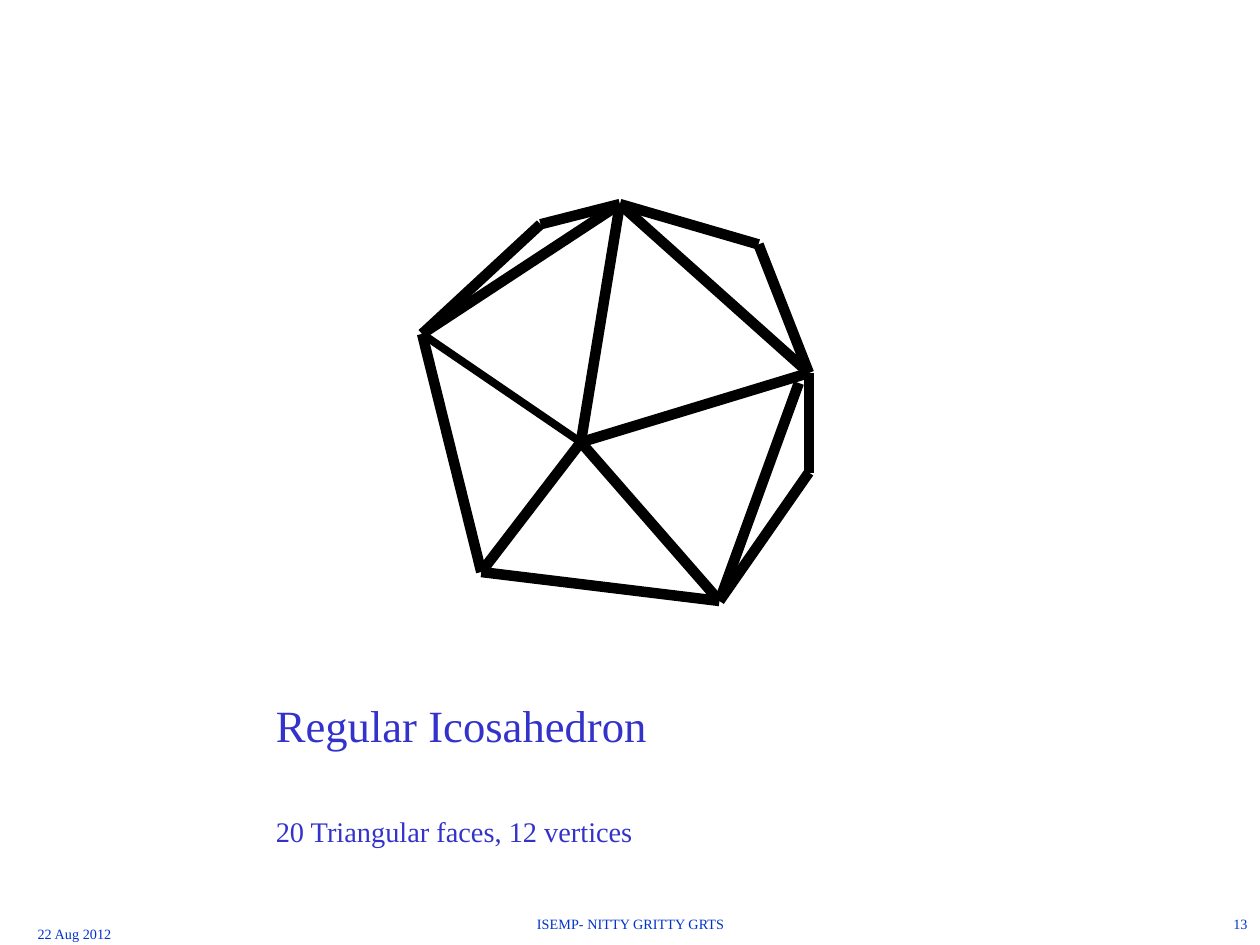
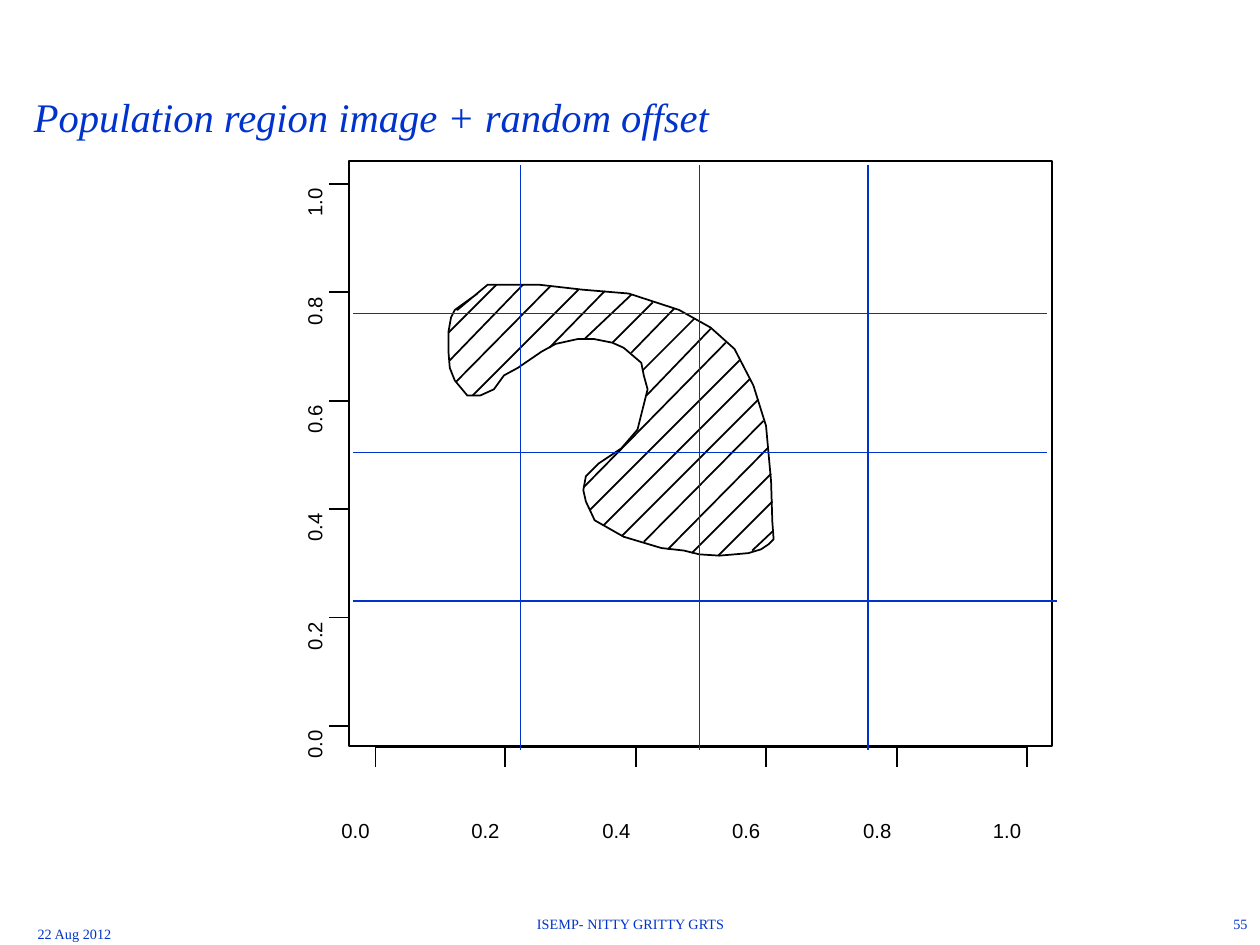
from dataclasses import dataclass

import lxml.etree
import pptx
import pptx.dml.color
import pptx.enum.shapes
import pptx.enum.text
import pptx.oxml.ns
import pptx.presentation
import pptx.shapes.base
import pptx.slide
import pptx.util

ALIGN = pptx.enum.text.PP_ALIGN
Point = tuple[int, int]

PX = 9144
BLACK = "000000"
BLUE = "0033CC"
VIOLET = "3333CC"
SERIF = "Times New Roman"
SANS = "Arial"
LOWERED = "-36000"


@dataclass(frozen=True)
class Style:
    size: int
    color: str = BLUE
    font: str = SERIF
    italic: bool = False
    align: ALIGN = ALIGN.LEFT
    space_before: int = 0


@dataclass(frozen=True)
class Box:
    left: int
    top: int
    width: int
    height: int


@dataclass(frozen=True)
class Stroke:
    color: str
    width: float


@dataclass(frozen=True)
class Edge:
    start: str
    end: str
    width: float = 6


@dataclass(frozen=True)
class Footer:
    box: Box
    align: ALIGN


INK = Stroke(BLACK, 1)
GRID = Stroke(BLUE, 0.75)
TICK_LABEL = Style(20, BLACK, SANS)

DATE_FOOTER = Footer(Box(20, 714, 208, 36), ALIGN.LEFT)
EVENT_FOOTER = Footer(Box(342, 706, 317, 28), ALIGN.CENTER)
NUMBER_FOOTER = Footer(Box(717, 706, 283, 28), ALIGN.RIGHT)

VERTICES: dict[str, Point] = {
    "center": (461, 351),
    "top": (492, 162),
    "upper left": (429, 178),
    "left": (335, 265),
    "lower left": (382, 454),
    "bottom": (571, 477),
    "lower right": (642, 375),
    "right": (642, 296),
    "inner right": (634, 304),
    "upper right": (602, 194),
}

EDGES = [
    Edge("left", "center", 4.5),
    Edge("center", "top"),
    Edge("center", "right"),
    Edge("top", "right"),
    Edge("top", "upper right"),
    Edge("upper right", "right"),
    Edge("inner right", "bottom"),
    Edge("right", "lower right"),
    Edge("lower right", "bottom"),
    Edge("lower left", "bottom"),
    Edge("left", "lower left"),
    Edge("upper left", "left"),
    Edge("upper left", "top"),
    Edge("top", "left"),
    Edge("lower left", "center"),
    Edge("center", "bottom"),
]

HATCHING: list[tuple[Point, Point]] = [
    ((356, 264), (394, 226)), ((357, 286), (415, 226)), ((362, 303), (437, 227)),
    ((375, 314), (459, 230)), ((436, 276), (480, 231)), ((464, 269), (501, 234)),
    ((486, 272), (518, 240)), ((501, 280), (535, 245)), ((510, 294), (551, 253)),
    ((513, 314), (564, 261)), ((463, 387), (576, 272)), ((468, 405), (587, 286)),
    ((479, 417), (595, 301)), ((494, 425), (602, 317)), ((511, 430), (606, 334)),
    ((530, 436), (609, 356)), ((549, 439), (612, 376)), ((570, 441), (613, 398)),
    ((597, 437), (614, 421)),
]

REGION: list[Point] = [
    (387, 226), (428, 226), (463, 230), (499, 233), (539, 246), (564, 260),
    (583, 277), (598, 306), (608, 338), (612, 382), (613, 414), (614, 428),
    (610, 432), (604, 436), (594, 439), (583, 440), (571, 441), (555, 440),
    (543, 437), (525, 435), (495, 426), (472, 413), (465, 398), (463, 389),
    (465, 378), (475, 368), (493, 356), (506, 341), (510, 325), (514, 309),
    (511, 298), (509, 288), (495, 276), (486, 272), (471, 269), (459, 269),
    (441, 273), (430, 279), (411, 292), (400, 298), (392, 309), (381, 314),
    (371, 314), (361, 302), (357, 292), (356, 280), (356, 273), (356, 263),
    (358, 252), (361, 246), (379, 233), (367, 242), (363, 246), (387, 226),
]

GRID_LINES: list[tuple[Point, Point]] = [
    ((280, 359), (831, 359)),
    ((555, 595), (555, 131)),
    ((280, 249), (831, 249)),
    ((280, 477), (839, 477)),
    ((413, 595), (413, 131)),
    ((689, 595), (689, 131)),
]

PLOT = Box(277, 128, 558, 464)
TICKS = ["0.0", "0.2", "0.4", "0.6", "0.8", "1.0"]
TICK_LENGTH = 16
X_AXIS_TOP = 593
X_FIRST, X_STEP = 298, 103.4
Y_FIRST, Y_STEP = 576, 86


def rgb(color: str) -> pptx.dml.color.RGBColor:
    return pptx.dml.color.RGBColor.from_string(color)


def px(length: int) -> pptx.util.Emu:
    return pptx.util.Emu(length * PX)


def set_stroke(line, stroke: Stroke) -> None:
    line.color.rgb = rgb(stroke.color)
    line.width = pptx.util.Pt(stroke.width)


def draw_line(slide: pptx.slide.Slide, start: Point, end: Point, stroke: Stroke) -> None:
    line = slide.shapes.add_connector(
        pptx.enum.shapes.MSO_CONNECTOR.STRAIGHT, *map(px, start + end)
    )
    set_stroke(line.line, stroke)
    properties = line._element.spPr
    lxml.etree.SubElement(properties, pptx.oxml.ns.qn("a:effectLst"))


def draw_outline(shape: pptx.shapes.base.BaseShape, stroke: Stroke) -> None:
    shape.shadow.inherit = False
    shape.fill.background()
    set_stroke(shape.line, stroke)


def draw_text(
    slide: pptx.slide.Slide,
    box: Box,
    lines: list[tuple[str, Style]],
    grow: bool = False,
    wrap: bool = True,
    inset: bool = True,
    rotation: int = 0,
) -> None:
    text_box = slide.shapes.add_textbox(
        px(box.left), px(box.top), px(box.width), px(box.height)
    )
    text_box.rotation = rotation
    frame = text_box.text_frame
    frame.word_wrap = wrap
    if grow:
        frame.auto_size = pptx.enum.text.MSO_AUTO_SIZE.SHAPE_TO_FIT_TEXT
    if not inset:
        frame.margin_left = frame.margin_top = 0
        frame.margin_right = frame.margin_bottom = 0
    for index, (words, style) in enumerate(lines):
        paragraph = frame.add_paragraph() if index else frame.paragraphs[0]
        paragraph.text = words
        paragraph.alignment = style.align
        if style.space_before:
            paragraph.space_before = pptx.util.Pt(style.space_before)
        paragraph.font.name = style.font
        paragraph.font.size = pptx.util.Pt(style.size)
        paragraph.font.italic = style.italic
        paragraph.font.color.rgb = rgb(style.color)
        paragraph._p.get_or_add_pPr().get_or_add_defRPr().set("baseline", LOWERED)


def add_slide(deck: pptx.presentation.Presentation) -> pptx.slide.Slide:
    return deck.slides.add_slide(deck.slide_layouts[6])


def draw_footers(slide: pptx.slide.Slide, number: str) -> None:
    for footer, words in (
        (DATE_FOOTER, "22 Aug 2012"),
        (EVENT_FOOTER, "ISEMP- NITTY GRITTY GRTS"),
        (NUMBER_FOOTER, number),
    ):
        draw_text(slide, footer.box, [(words, Style(14, align=footer.align))])


def draw_tick_label(
    slide: pptx.slide.Slide, left: int, top: int, label: str, rotation: int = 0
) -> None:
    draw_text(
        slide, Box(left, top, 39, 33), [(label, TICK_LABEL)],
        grow=True, wrap=False, inset=False, rotation=rotation,
    )


def draw_axes(slide: pptx.slide.Slide) -> None:
    columns = [X_FIRST + round(X_STEP * i) for i in range(len(TICKS))]
    rows = [Y_FIRST - Y_STEP * i for i in range(len(TICKS))]
    draw_line(slide, (columns[0], X_AXIS_TOP), (columns[-1], X_AXIS_TOP), INK)
    draw_line(slide, (PLOT.left, rows[0]), (PLOT.left, rows[-1]), INK)
    for label, x, y in zip(TICKS, columns, rows):
        draw_line(slide, (x, X_AXIS_TOP), (x, X_AXIS_TOP + TICK_LENGTH), INK)
        draw_tick_label(slide, x - 27, 628, label)
        draw_line(slide, (PLOT.left, y), (PLOT.left - TICK_LENGTH, y), INK)
        draw_tick_label(slide, 215, y - 10, label, rotation=270)


def build_icosahedron(deck: pptx.presentation.Presentation) -> None:
    slide = add_slide(deck)
    for edge in EDGES:
        draw_line(
            slide, VERTICES[edge.start], VERTICES[edge.end], Stroke(BLACK, edge.width)
        )
    caption = [
        ("Regular Icosahedron", Style(44, VIOLET)),
        ("20 Triangular faces, 12 vertices", Style(28, VIOLET, space_before=14)),
    ]
    draw_text(slide, Box(209, 501, 535, 153), caption, grow=True)
    draw_footers(slide, "13")


def build_population_region(deck: pptx.presentation.Presentation) -> None:
    slide = add_slide(deck)
    title = [("Population region image + random offset", Style(40, italic=True))]
    draw_text(slide, Box(17, 25, 983, 77), title, grow=True)
    draw_axes(slide)
    plot_frame = slide.shapes.add_shape(
        pptx.enum.shapes.MSO_SHAPE.RECTANGLE,
        px(PLOT.left), px(PLOT.top), px(PLOT.width), px(PLOT.height),
    )
    draw_outline(plot_frame, INK)
    for start, end in HATCHING:
        draw_line(slide, start, end, INK)
    region = slide.shapes.build_freeform(*REGION[0], scale=PX)
    region.add_line_segments(REGION[1:], close=False)
    draw_outline(region.convert_to_shape(), INK)
    for start, end in GRID_LINES:
        draw_line(slide, start, end, GRID)
    draw_footers(slide, "55")


def main() -> None:
    deck = pptx.Presentation()
    deck.slide_width = px(1000)
    deck.slide_height = px(750)
    build_icosahedron(deck)
    build_population_region(deck)
    deck.save("out.pptx")


if __name__ == "__main__":
    main()
